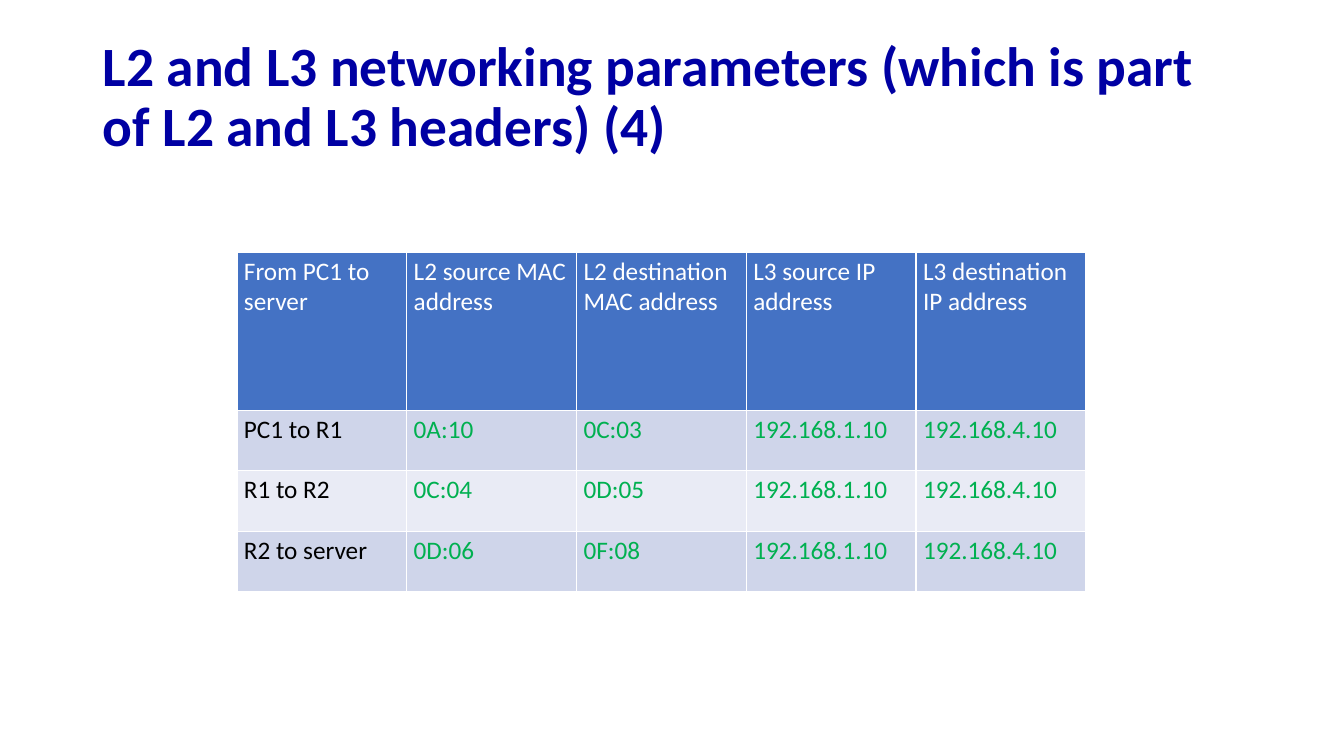
import pptx
import pptx.util
import pptx.dml.color
import pptx.enum.text

Inches = pptx.util.Inches
FONT = "Calibri"
HEAD = "4472C4"
BANDS = ["CFD5EA", "E9EBF5"]
HOSTS = ["192.168.1.10", "192.168.4.10"]
ROWS = [
    ["From PC1 to server", "L2 source MAC address", "L2 destination MAC address",
     "L3 source IP address", "L3 destination IP address"],
    ["PC1 to R1", "0A:10", "0C:03", *HOSTS],
    ["R1 to R2", "0C:04", "0D:05", *HOSTS],
    ["R2 to server", "0D:06", "0F:08", *HOSTS],
]


def color(code):
    return pptx.dml.color.RGBColor.from_string(code)


def style(para, size, code, bold=False):
    para.alignment = pptx.enum.text.PP_ALIGN.LEFT
    for run in para.runs:
        run.font.name = FONT
        run.font.size = pptx.util.Pt(size)
        run.font.bold = bold
        run.font.color.rgb = color(code)


def add_title(slide, left, top, width, height):
    title = slide.shapes.title
    title.left, title.top = Inches(left), Inches(top)
    title.width, title.height = Inches(width), Inches(height)
    frame = title.text_frame
    frame.text = "L2 and L3 networking parameters (which is part of L2 and L3 headers) (4)"
    frame.word_wrap = True
    frame.auto_size = pptx.enum.text.MSO_AUTO_SIZE.NONE
    frame.vertical_anchor = pptx.enum.text.MSO_ANCHOR.MIDDLE
    para = frame.paragraphs[0]
    para.line_spacing = 0.9
    style(para, 39.6, "0000A3", True)


def add_hops(slide, left, top, width, height):
    count = len(ROWS[0])
    frame = slide.shapes.add_table(len(ROWS), count, Inches(left), Inches(top),
                                   Inches(width), Inches(height))
    table = frame.table
    for col in table.columns:
        col.width = Inches(width / count)
    low = 0.6
    for row in table.rows:
        row.height = Inches(low)
    table.rows[0].height = Inches(height - low * (len(ROWS) - 1))
    for i, words in enumerate(ROWS):
        for j, word in enumerate(words):
            cell = table.cell(i, j)
            cell.text_frame.text = word
            cell.margin_left = cell.margin_right = Inches(0.07)
            cell.margin_top = cell.margin_bottom = Inches(0.04)
            cell.fill.solid()
            cell.fill.fore_color.rgb = color(BANDS[(i - 1) % 2] if i else HEAD)
            ink = "FFFFFF" if i == 0 else "000000" if j == 0 else "00B050"
            style(cell.text_frame.paragraphs[0], 18, ink)


def main():
    deck = pptx.Presentation()
    deck.slide_width, deck.slide_height = Inches(13.33), Inches(7.5)
    slide = deck.slides.add_slide(deck.slide_layouts[5])
    add_title(slide, 0.92, 0.49, 11.5, 0.98)
    add_hops(slide, 2.35, 2.5, 8.42, 3.37)
    deck.save("out.pptx")


if __name__ == "__main__":
    main()
